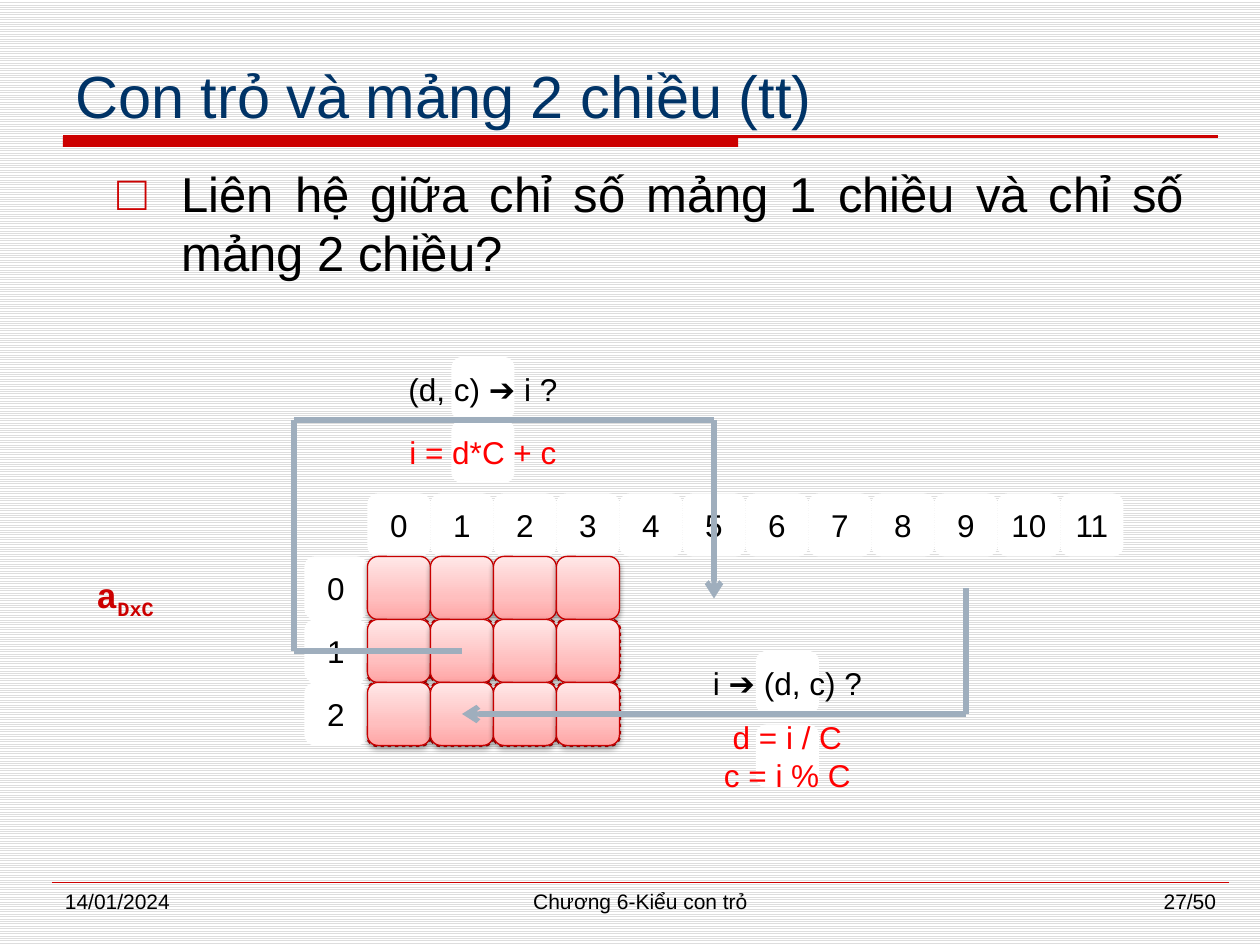
from copy import deepcopy
from dataclasses import dataclass

from pptx import Presentation
from pptx.dml.color import RGBColor
from pptx.enum.dml import MSO_LINE, MSO_PATTERN
from pptx.enum.shapes import MSO_CONNECTOR, MSO_SHAPE
from pptx.enum.text import MSO_ANCHOR, MSO_AUTO_SIZE, PP_ALIGN
from pptx.oxml import parse_xml
from pptx.oxml.ns import nsdecls, qn
from pptx.util import Emu, Pt

ROUNDED, RECTANGLE = MSO_SHAPE.ROUNDED_RECTANGLE, MSO_SHAPE.RECTANGLE
STRAIGHT = MSO_CONNECTOR.STRAIGHT
LEFT, CENTER, RIGHT, JUSTIFY = (
    PP_ALIGN.LEFT, PP_ALIGN.CENTER, PP_ALIGN.RIGHT, PP_ALIGN.JUSTIFY)
TOP, MIDDLE, BOTTOM = MSO_ANCHOR.TOP, MSO_ANCHOR.MIDDLE, MSO_ANCHOR.BOTTOM

PX = 7620  # EMU per px, 120 px to the inch
CELL = 60
GRID_X, GRID_Y = 350, 530
ROWS, COLUMNS = 3, 4

RED, BLACK, WHITE = "CC0000", "000000", "FFFFFF"
FORMULA_RED, ARROW_GRAY = "FF0000", "9FAEBD"
CELL_STOPS = ((0, "FFA5A5"), (0.35, "FFBFBF"), (1, "FFE7E7"))


@dataclass
class Label:
    """White square with centred text running over its edges."""
    x: int
    y: int
    text: str
    color: str = BLACK


@dataclass
class Segment:
    x1: int
    y1: int
    x2: int
    y2: int
    arrow: bool = False
    color: str = ARROW_GRAY
    width: float = 3


@dataclass
class Footer:
    x: int
    width: int
    text: str
    align: PP_ALIGN


def px(length: int) -> Emu:
    return Emu(length * PX)


def rgb(color: str) -> RGBColor:
    return RGBColor.from_string(color)


def style(paragraph, size: int, color: str, align=LEFT, face="Arial", bold=False) -> None:
    paragraph.alignment = align
    font = paragraph.font
    font.size, font.name, font.bold = Pt(size), face, bold
    font.color.rgb = rgb(color)


def add_box(slide, kind, x: int, y: int, width: int, height: int, fill: str):
    box = slide.shapes.add_shape(kind, px(x), px(y), px(width), px(height))
    box.shadow.inherit = False
    box.fill.solid()
    box.fill.fore_color.rgb = rgb(fill)
    box.line.fill.background()
    return box


def add_label(slide, label: Label) -> None:
    box = add_box(slide, ROUNDED, label.x, label.y, CELL, CELL, WHITE)
    frame = box.text_frame
    frame.word_wrap = False
    frame.vertical_anchor = MIDDLE
    frame.text = label.text
    for paragraph in frame.paragraphs:
        style(paragraph, 18, label.color, CENTER)


def add_dotted_cell(slide, x: int, y: int) -> None:
    line = add_box(slide, ROUNDED, x, y, CELL, CELL, WHITE).line
    line.color.rgb = rgb(RED)
    line.width = Pt(2)
    line.dash_style = MSO_LINE.ROUND_DOT


def add_array_cell(slide, x: int, y: int) -> None:
    cell = add_box(slide, ROUNDED, x, y, CELL, CELL, WHITE)
    cell.line.color.rgb = rgb("C80000")
    cell.line.width = Pt(0.75)
    cell.fill.gradient()
    cell.fill.gradient_angle = 90
    properties = cell._element.spPr
    stop_list = properties.find(".//" + qn("a:gsLst"))
    stop_list.append(deepcopy(stop_list[-1]))
    for stop, (position, color) in zip(cell.fill.gradient_stops, CELL_STOPS):
        stop.position = position
        stop.color.rgb = rgb(color)
    properties.find(qn("a:effectLst")).append(parse_xml(
        f'<a:outerShdw {nsdecls("a")} blurRad="40000" dist="20000" dir="5400000" '
        'rotWithShape="0"><a:srgbClr val="000000"><a:alpha val="38000"/>'
        '</a:srgbClr></a:outerShdw>'))


def add_segment(slide, segment: Segment) -> None:
    connector = slide.shapes.add_connector(
        STRAIGHT, px(segment.x1), px(segment.y1), px(segment.x2), px(segment.y2))
    connector.line.color.rgb = rgb(segment.color)
    connector.line.width = Pt(segment.width)
    properties = connector._element.spPr
    if segment.arrow:
        properties.find(qn("a:ln")).append(
            parse_xml(f'<a:tailEnd {nsdecls("a")} type="arrow"/>'))
    properties.append(parse_xml(f'<a:effectLst {nsdecls("a")}/>'))


def add_text(slide, x: int, y: int, width: int, height: int):
    frame = slide.shapes.add_textbox(px(x), px(y), px(width), px(height)).text_frame
    frame.word_wrap = True
    return frame.paragraphs[0]


def fill_placeholder(holder, x: int, y: int, width: int, height: int, text: str, anchor):
    holder.left, holder.top = px(x), px(y)
    holder.width, holder.height = px(width), px(height)
    frame = holder.text_frame
    frame.text = text
    frame.auto_size = MSO_AUTO_SIZE.NONE
    frame.vertical_anchor = anchor
    return frame.paragraphs[0]


def add_bullet(paragraph, character: str, color: str, indent: int) -> None:
    properties = paragraph._p.get_or_add_pPr()
    properties.set("marL", str(px(indent)))
    properties.set("indent", str(-px(indent)))
    for element in (f'<a:buClr {nsdecls("a")}><a:srgbClr val="{color}"/></a:buClr>',
                    f'<a:buFont {nsdecls("a")} typeface="Arial"/>',
                    f'<a:buChar {nsdecls("a")} char="{character}"/>'):
        properties.append(parse_xml(element))


def main() -> None:
    deck = Presentation()
    deck.slide_width, deck.slide_height = px(1200), px(900)
    slide = deck.slides.add_slide(deck.slide_layouts[1])

    # Striped background
    background = slide.background.fill
    background.patterned()
    background.pattern = MSO_PATTERN.LIGHT_HORIZONTAL
    background.fore_color.rgb = rgb("DDDDDD")
    background.back_color.rgb = rgb(WHITE)

    # Title, its rule and the question
    title = fill_placeholder(slide.shapes.title, 60, 40, 1100, 90,
                             "Con trỏ và mảng 2 chiều (tt)", BOTTOM)
    style(title, 34, "003366")
    add_box(slide, RECTANGLE, 60, 130, 643, 10, RED)
    add_segment(slide, Segment(60, 130, 1160, 130, color=RED, width=1.5))
    question = fill_placeholder(
        slide.placeholders[1], 100, 150, 1040, 680,
        "Liên hệ giữa chỉ số mảng 1 chiều và chỉ số mảng 2 chiều?", TOP)
    question.space_before = Pt(0)
    add_bullet(question, "□", RED, 61)
    style(question, 28, BLACK, JUSTIFY)

    # Array cells, with dotted cells behind all rows but the first
    grid = [(GRID_X + column * CELL, GRID_Y + row * CELL)
            for row in range(ROWS) for column in range(COLUMNS)]
    for x, y in grid[COLUMNS:]:
        add_dotted_cell(slide, x, y)

    # Row numbers and one-dimensional indices
    for row in range(ROWS):
        add_label(slide, Label(GRID_X - CELL, GRID_Y + row * CELL, str(row)))
    for index in range(ROWS * COLUMNS):
        add_label(slide, Label(GRID_X + index * CELL, GRID_Y - CELL, str(index)))
    for x, y in grid:
        add_array_cell(slide, x, y)

    # Array name with its dimensions as subscript
    array_name = add_text(slide, 80, 540, 240, 53)
    array_name.add_run().text = "a"
    dimensions = array_name.add_run()
    dimensions.text = "DxC"
    dimensions._r.get_or_add_rPr().set("baseline", "-25000")
    style(array_name, 20, RED, face="Courier New", bold=True)

    # Conversion questions and formulas
    for label in (Label(430, 340, "(d, c) ➔ i ?"),
                  Label(430, 400, "i = d*C + c", FORMULA_RED),
                  Label(720, 620, "i ➔ (d, c) ?"),
                  Label(720, 690, "d = i / C\nc = i % C", FORMULA_RED)):
        add_label(slide, label)

    # Paths from cell to index and back
    for segment in (Segment(440, 620, 280, 620), Segment(280, 620, 280, 400),
                    Segment(280, 400, 680, 400), Segment(680, 400, 680, 570, arrow=True),
                    Segment(920, 680, 920, 560), Segment(920, 680, 440, 680, arrow=True)):
        add_segment(slide, segment)

    # Footer
    add_segment(slide, Segment(50, 840, 1170, 840, color=RED, width=0.25))
    for footer in (Footer(50, 260, "14/01/2024", LEFT),
                   Footer(350, 520, "Chương 6-Kiểu con trỏ", CENTER),
                   Footer(910, 260, "27/50", RIGHT)):
        paragraph = add_text(slide, footer.x, 840, footer.width, 42)
        paragraph.text = footer.text
        style(paragraph, 12, BLACK, footer.align)

    deck.save("out.pptx")


if __name__ == "__main__":
    main()
